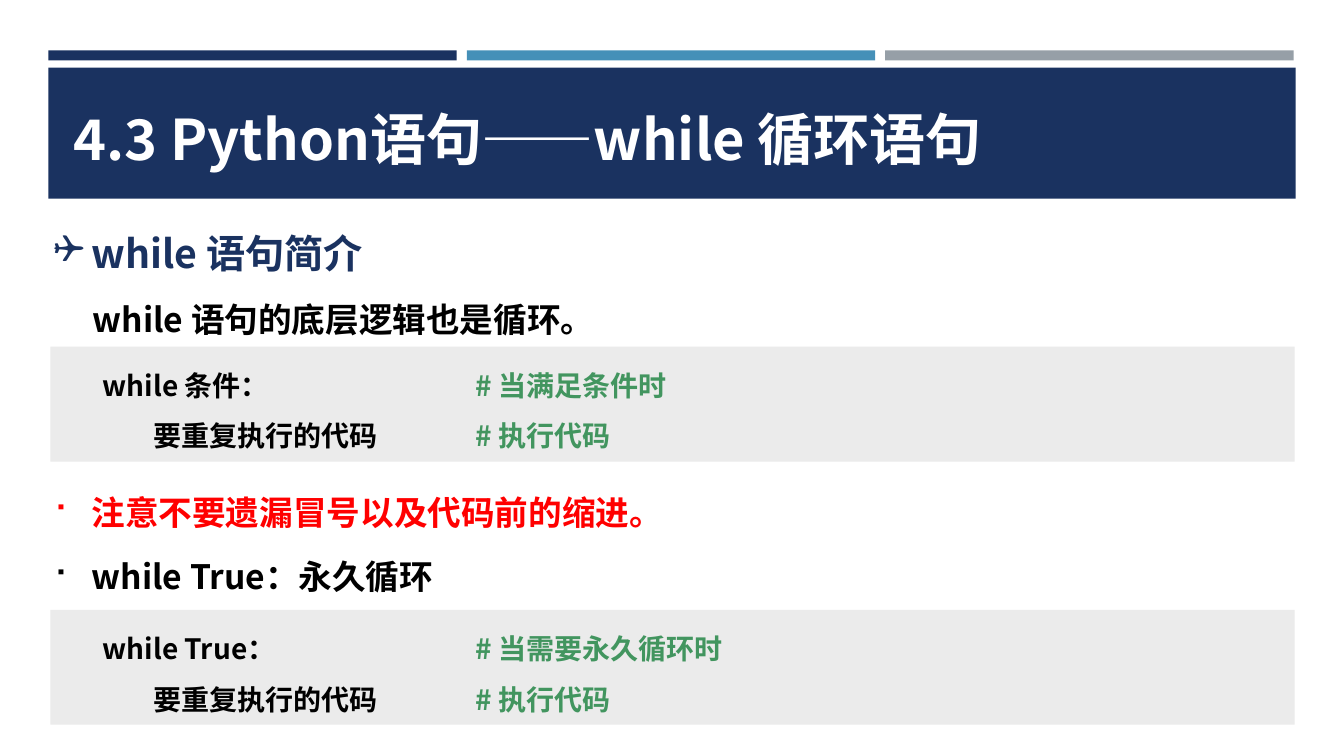
from lxml import etree
from pptx import Presentation
from pptx import util as u
from pptx.dml.color import RGBColor
from pptx.enum import shapes, text
from pptx.oxml.ns import qn

PX = 9144  # EMU per px, 100 px to the inch
FONT = "Noto Sans CJK SC"
COLORS = {
    "navy": "1A3260", "blue": "4590B8", "gray": "969FA7", "panel": "EBEBEB",
    "white": "FFFFFF", "black": "000000", "red": "FF0000", "green": "42955F",
}
HANG = 38  # hanging indent of bulleted lines
CODE_TAB = 50


def color(name):
    return RGBColor.from_string(COLORS[name])


def add_block(slide, box, fill):
    shape = slide.shapes.add_shape(
        shapes.MSO_SHAPE.RECTANGLE, *(value * PX for value in box))
    shape.shadow.inherit = False
    shape.fill.solid()
    shape.fill.fore_color.rgb = color(fill)
    shape.line.fill.background()


def add_bullet(paragraph, character):
    properties = paragraph._p.get_or_add_pPr()
    properties.set("marL", str(HANG * PX))
    properties.set("indent", str(-HANG * PX))
    etree.SubElement(properties, qn("a:buFont"), typeface="Wingdings")
    etree.SubElement(properties, qn("a:buChar"), char=character)


def add_tab(paragraph, position):
    tabs = etree.SubElement(paragraph._p.get_or_add_pPr(), qn("a:tabLst"))
    etree.SubElement(tabs, qn("a:tab"), pos=str(position * PX), algn="l")


def add_text(slide, box, lines, size, ink, bullet=None, spacing=1.5, after=None):
    shape = slide.shapes.add_textbox(*(value * PX for value in box))
    frame = shape.text_frame
    frame.word_wrap = True
    frame.auto_size = text.MSO_AUTO_SIZE.SHAPE_TO_FIT_TEXT
    frame.text = "\n".join(lines)
    for paragraph in frame.paragraphs:
        if bullet:
            add_bullet(paragraph, bullet)
        if paragraph.text.startswith("\t"):
            add_tab(paragraph, CODE_TAB)
        paragraph.line_spacing = spacing
        if after:
            paragraph.space_after = u.Pt(after)
        for run in paragraph.runs:
            run.font.size = u.Pt(size)
            run.font.bold = True
            run.font.color.rgb = color(ink)
            run.font.name = FONT
            etree.SubElement(run._r.get_or_add_rPr(), qn("a:ea"), typeface=FONT)


def add_header(slide, left, top, width, title):
    # Three accent bars above the title band
    gap = 10
    bar = (width - 2 * gap) // 3
    for index, fill in enumerate(("navy", "blue", "gray")):
        add_block(slide, (left + index * (bar + gap), top, bar, 10), fill)
    # Title band
    add_block(slide, (left, top + 17, width, 130), "navy")
    add_text(slide, (left + 15, top + 49, width - 15, 77), [title],
             40, "white", spacing=1.0)


def add_code_panel(slide, left, top, width, code, notes):
    add_block(slide, (left, top, width, 114), "panel")
    add_text(slide, (left + 42, top, 360, 105), code, 20, "black")
    add_text(slide, (left + 412, top, 410, 105), notes, 20, "green")


def add_body(slide, left, top, width):
    # Section heading and introduction
    add_text(slide, (left, top, width, 72), ["while 语句简介"],
             28, "navy", "❑", after=12)
    add_text(slide, (left + 39, top + 73, width - 39, 64),
             ["while 语句的底层逻辑也是循环。"], 24, "black")
    # Bulleted remarks
    remarks = (("注意不要遗漏冒号以及代码前的缩进。", "red"),
               ("while True：永久循环", "black"))
    for index, (remark, ink) in enumerate(remarks):
        add_text(slide, (left, top + 264 + index * 64, width, 64),
                 [remark], 24, ink, "■")
    # Code panels
    panels = (("while 条件：", "# 当满足条件时"),
              ("while True：", "# 当需要永久循环时"))
    for index, (condition, note) in enumerate(panels):
        add_code_panel(slide, left + 7, top + 145 + index * 261, width - 8,
                       [condition, "\t要重复执行的代码"], [note, "# 执行代码"])


def main():
    presentation = Presentation()
    presentation.slide_width = 1333 * PX
    presentation.slide_height = 750 * PX
    slide = presentation.slides.add_slide(presentation.slide_layouts[6])
    add_header(slide, 48, 50, 1237, "4.3 Python语句——while 循环语句")
    add_body(slide, 43, 199, 1242)
    presentation.save("out.pptx")


if __name__ == "__main__":
    main()
